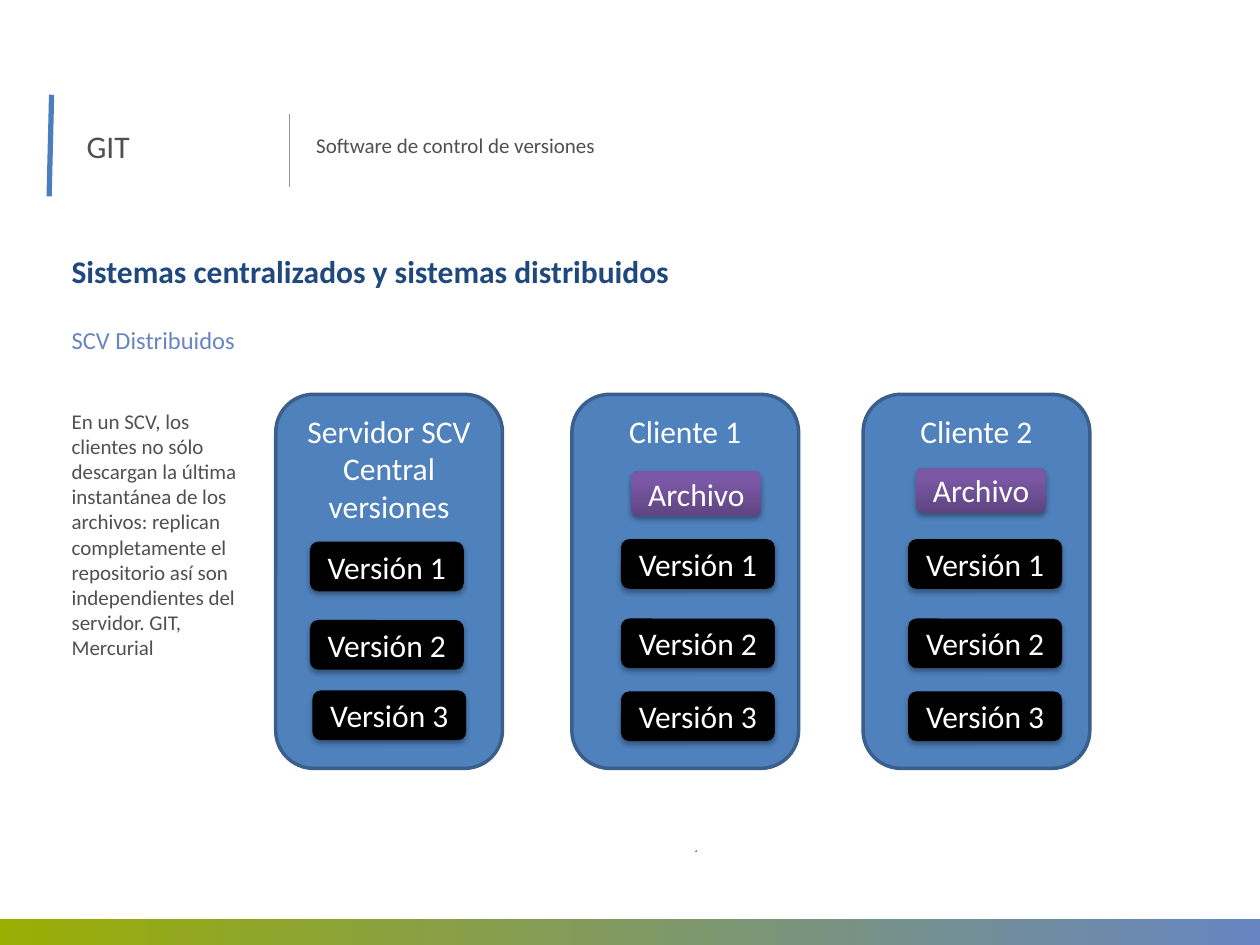
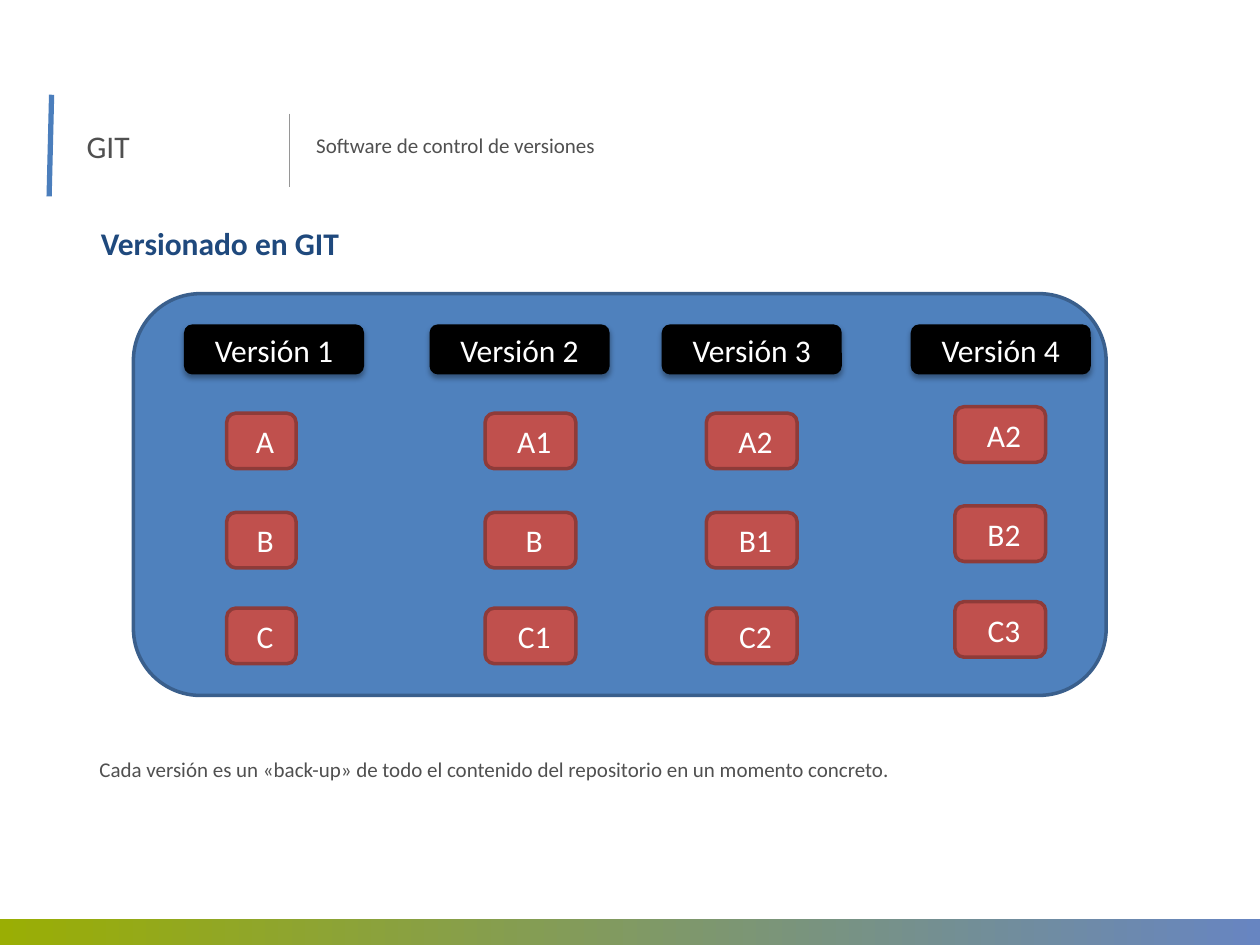
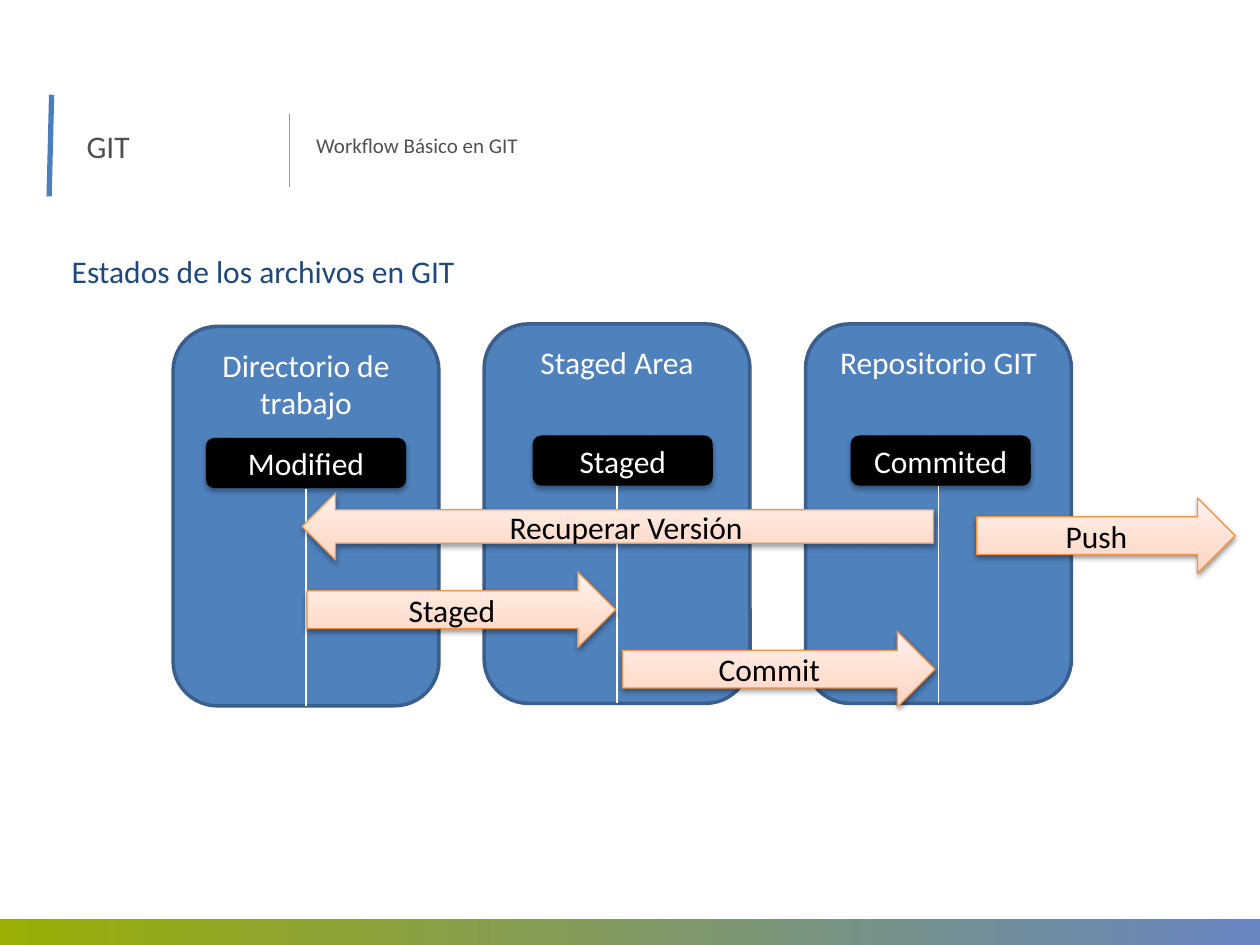
from dataclasses import dataclass

from lxml import etree
from pptx import Presentation
from pptx import util as u
from pptx.dml import color
from pptx.enum import shapes, text
from pptx.oxml import ns


@dataclass(frozen=True)
class Theme:
    font: str = "Calibri"
    large: int = 18
    medium: int = 14
    small: int = 12
    body: str = "505050"
    heading: str = "1F497D"
    subheading: str = "6785C1"
    accent: str = "4B7EBC"
    divider: str = "969696"
    white: str = "FFFFFF"
    black: str = "000000"
    panel: str = "4F81BD"
    panel_edge: str = "3A5F8C"
    tile: str = "C0504D"
    tile_edge: str = "8E3B39"
    arrow_edge: str = "F69240"
    band: tuple = ((0, "9AAE04"), (100, "6785C1"))
    archive: tuple = ((0, "5F4480"), (80, "7B58A6"), (100, "7C57A8"))
    arrow: tuple = ((0, "FFD2BD"), (35, "FFDED0"), (100, "FFF2ED"))


THEME = Theme()
ROUNDED = shapes.MSO_SHAPE.ROUNDED_RECTANGLE
RIGHT_ARROW = shapes.MSO_SHAPE.RIGHT_ARROW
LEFT_ARROW = shapes.MSO_SHAPE.LEFT_ARROW
COMPARISON_LAYOUT = 4


def apply_formats(target, formats):
    for name, value in formats.items():
        setattr(target, name, value)


def rgb(value):
    return color.RGBColor.from_string(value)


def lengths(values):
    return [u.Cm(value) for value in values]


def write(frame, lines, size, ink, align, bold=False):
    frame.text = "\n".join(lines)
    for paragraph in frame.paragraphs:
        apply_formats(paragraph, {"alignment": align, "space_before": u.Pt(0)})
        for run in paragraph.runs:
            apply_formats(run.font, {"name": THEME.font, "size": u.Pt(size), "bold": bold})
            run.font.color.rgb = rgb(ink)


def remove_bullet(paragraph):
    properties = paragraph._p.get_or_add_pPr()
    for name in ("marL", "indent"):
        properties.set(name, "0")
    etree.SubElement(properties, ns.qn("a:buNone"))


def fill_gradient(shape, stops, angle):
    shape.fill.gradient()
    shape.fill.gradient_angle = angle
    stop_list = shape.element.spPr.find(".//" + ns.qn("a:gsLst"))
    for stop in list(stop_list):
        stop_list.remove(stop)
    for position, value in stops:
        stop = etree.SubElement(stop_list, ns.qn("a:gs"), pos=str(position * 1000))
        etree.SubElement(stop, ns.qn("a:srgbClr"), val=value)


def add_shadow(shape, alpha, distance):
    effects = shape.element.spPr.find(ns.qn("a:effectLst"))
    shadow = etree.SubElement(
        effects, ns.qn("a:outerShdw"), blurRad=str(u.Pt(3.1)), dist=str(u.Pt(distance)),
        dir="5400000", rotWithShape="0")
    ink = etree.SubElement(shadow, ns.qn("a:srgbClr"), val=THEME.black)
    etree.SubElement(ink, ns.qn("a:alpha"), val=str(alpha * 1000))


def add_box(slide, kind, bounds, fill, edge=None, edge_width=2, gradient_angle=90):
    shape = slide.shapes.add_shape(kind, *lengths(bounds))
    shape.shadow.inherit = False
    if isinstance(fill, tuple):
        fill_gradient(shape, fill, gradient_angle)
    else:
        shape.fill.solid()
        shape.fill.fore_color.rgb = rgb(fill)
    if edge:
        shape.line.color.rgb = rgb(edge)
        shape.line.width = u.Pt(edge_width)
    else:
        shape.line.fill.background()
    return shape


def label(shape, lines, ink=THEME.white, anchor=text.MSO_ANCHOR.MIDDLE):
    apply_formats(shape.text_frame, {"vertical_anchor": anchor, "word_wrap": True})
    write(shape.text_frame, lines, THEME.large, ink, text.PP_ALIGN.CENTER)


def add_panel(slide, bounds, lines=()):
    panel = add_box(slide, ROUNDED, bounds, THEME.panel, THEME.panel_edge)
    if lines:
        label(panel, lines, anchor=text.MSO_ANCHOR.TOP)


def add_block(slide, bounds, caption, fill=THEME.black):
    block = add_box(slide, ROUNDED, bounds, fill)
    add_shadow(block, 35, 1.8)
    label(block, [caption])


def add_file_tile(slide, bounds, caption):
    tile = add_box(slide, ROUNDED, bounds, THEME.tile, THEME.tile_edge)
    label(tile, [caption])
    tile.text_frame.margin_left = u.Cm(0.4)


def add_arrow(slide, kind, bounds, caption):
    arrow = add_box(slide, kind, bounds, THEME.arrow, THEME.arrow_edge, 0.75)
    add_shadow(arrow, 38, 1.6)
    label(arrow, [caption], THEME.black)


def add_line(slide, ends, ink, width=0.75):
    line = slide.shapes.add_connector(shapes.MSO_CONNECTOR.STRAIGHT, *lengths(ends))
    line.line.color.rgb = rgb(ink)
    line.line.width = u.Pt(width)
    etree.SubElement(line.element.spPr, ns.qn("a:effectLst"))
    return line


def fill_placeholder(slide, index, bounds, content, size=THEME.small, ink=THEME.body, bold=False):
    placeholder = slide.placeholders[index]
    apply_formats(placeholder, dict(zip(("left", "top", "width", "height"), lengths(bounds))))
    frame = placeholder.text_frame
    apply_formats(frame, {"word_wrap": True, "auto_size": text.MSO_AUTO_SIZE.NONE,
                          "vertical_anchor": text.MSO_ANCHOR.TOP})
    write(frame, [content], size, ink, text.PP_ALIGN.LEFT, bold)
    remove_bullet(frame.paragraphs[0])


def add_slide(presentation, section, heading, left=1.19, top=4.95, bold=True):
    slide = presentation.slides.add_slide(presentation.slide_layouts[COMPARISON_LAYOUT])
    fill_placeholder(slide, 0, (left, top, 23.11, 1.04), heading, THEME.large, THEME.heading, bold)
    fill_placeholder(slide, 1, (1.49, 2.44, 4.06, 1.17), "GIT", THEME.large)
    fill_placeholder(slide, 2, (6.12, 2.54, 12.14, 0.97), section)
    return slide


def remove_empty_placeholders(slide):
    for placeholder in list(slide.placeholders):
        if not placeholder.text_frame.text:
            placeholder.element.getparent().remove(placeholder.element)


def decorate_layout(slide):
    decorations = [
        add_box(slide, shapes.MSO_SHAPE.RECTANGLE, (0, 18.52, 25.4, 0.53), THEME.band,
                gradient_angle=0),
        add_line(slide, (1.04, 1.91, 0.99, 3.96), THEME.accent, 3),
        add_line(slide, (5.84, 2.29, 5.84, 3.76), THEME.divider),
    ]
    for decoration in decorations:
        slide.slide_layout.shapes.element.append(decoration.element)


def build_distributed(presentation):
    slide = add_slide(presentation, "Software de control de versiones",
                      "Sistemas centralizados y sistemas distribuidos")
    decorate_layout(slide)
    fill_placeholder(slide, 3, (1.19, 6.43, 23.11, 1.24), "SCV Distribuidos",
                     THEME.medium, THEME.subheading)
    fill_placeholder(
        slide, 4, (1.19, 8.1, 4.17, 7.39),
        "En un SCV, los clientes no sólo descargan la última instantánea de los archivos: "
        "replican completamente el repositorio así son independientes del servidor. "
        "GIT, Mercurial")
    client_tops = (10.87, 12.47, 13.94)
    machines = (
        (5.56, ["Servidor SCV Central", "versiones"], (6.25, 6.25, 6.3), (10.92, 12.5, 13.92)),
        (11.53, ["Cliente 1"], (12.52,) * 3, client_tops),
        (17.4, ["Cliente 2"], (18.31,) * 3, client_tops),
    )
    for left, lines, block_lefts, tops in machines:
        add_panel(slide, (left, 7.95, 4.57, 7.54), lines)
        for number, (block_left, top) in enumerate(zip(block_lefts, tops), 1):
            add_block(slide, (block_left, top, 3.1, 1), f"Versión {number}")
    for left, top in ((12.73, 9.5), (18.47, 9.43)):
        add_block(slide, (left, top, 2.62, 0.91), "Archivo", THEME.archive)
    add_line(slide, (14.02, 17.17, 14.05, 17.15), THEME.accent)


def build_versioning(presentation):
    slide = add_slide(presentation, "Software de control de versiones",
                      "Versionado en GIT", 1.78, 4.39)
    fill_placeholder(slide, 3, (1.75, 15.13, 22.02, 1.73),
                     "Cada versión es un «back-up» de todo el contenido del repositorio "
                     "en un momento concreto.")
    add_panel(slide, (2.69, 5.92, 19.61, 8.1))
    versions = (
        (3.71, 4.57, 1.4, 0, ("A", "B", "C")),
        (8.66, 9.78, 1.83, 0, ("A1", "B", "C1")),
        (13.34, 14.24, 1.83, 0, ("A2", "B1", "C2")),
        (18.36, 19.25, 1.83, -0.13, ("A2", "B2", "C3")),
    )
    for number, (left, tile_left, width, shift, files) in enumerate(versions, 1):
        add_block(slide, (left, 6.54, 3.63, 1.01), f"Versión {number}")
        for top, name in zip((8.33, 10.33, 12.26), files):
            add_file_tile(slide, (tile_left, top + shift, width, 1.12), name)


def build_workflow(presentation):
    slide = add_slide(presentation, "Workflow Básico en GIT",
                      "Estados de los archivos en GIT", bold=False)
    width, height = 5.36, 7.65
    areas = (
        (3.49, 6.58, "Directorio de trabajo", "Modified", 4.15, 4.04),
        (9.76, 6.53, "Staged Area", "Staged", 10.74, 3.63),
        (16.24, 6.53, "Repositorio GIT", "Commited", 17.15, 3.63),
    )
    for left, top, name, state, state_left, state_width in areas:
        add_panel(slide, (left, top, width, height), [name])
        add_block(slide, (state_left, top + 2.25, state_width, 1.01), state)
        center = left + width / 2
        add_line(slide, (center, top + 3.27, center, top + height), THEME.white)
    arrows = (
        (RIGHT_ARROW, (6.19, 11.53, 6.22, 1.52), "Staged"),
        (RIGHT_ARROW, (12.55, 12.73, 6.3, 1.52), "Commit"),
        (LEFT_ARROW, (6.09, 9.94, 12.73, 1.35), "Recuperar Versión"),
        (RIGHT_ARROW, (19.69, 10.04, 5.21, 1.52), "Push"),
    )
    for kind, bounds, caption in arrows:
        add_arrow(slide, kind, bounds, caption)


def main():
    presentation = Presentation()
    apply_formats(presentation, {"slide_width": u.Cm(25.4), "slide_height": u.Cm(19.05)})
    for build in (build_distributed, build_versioning, build_workflow):
        build(presentation)
    for slide in presentation.slides:
        remove_empty_placeholders(slide)
    presentation.save("out.pptx")


if __name__ == "__main__":
    main()
